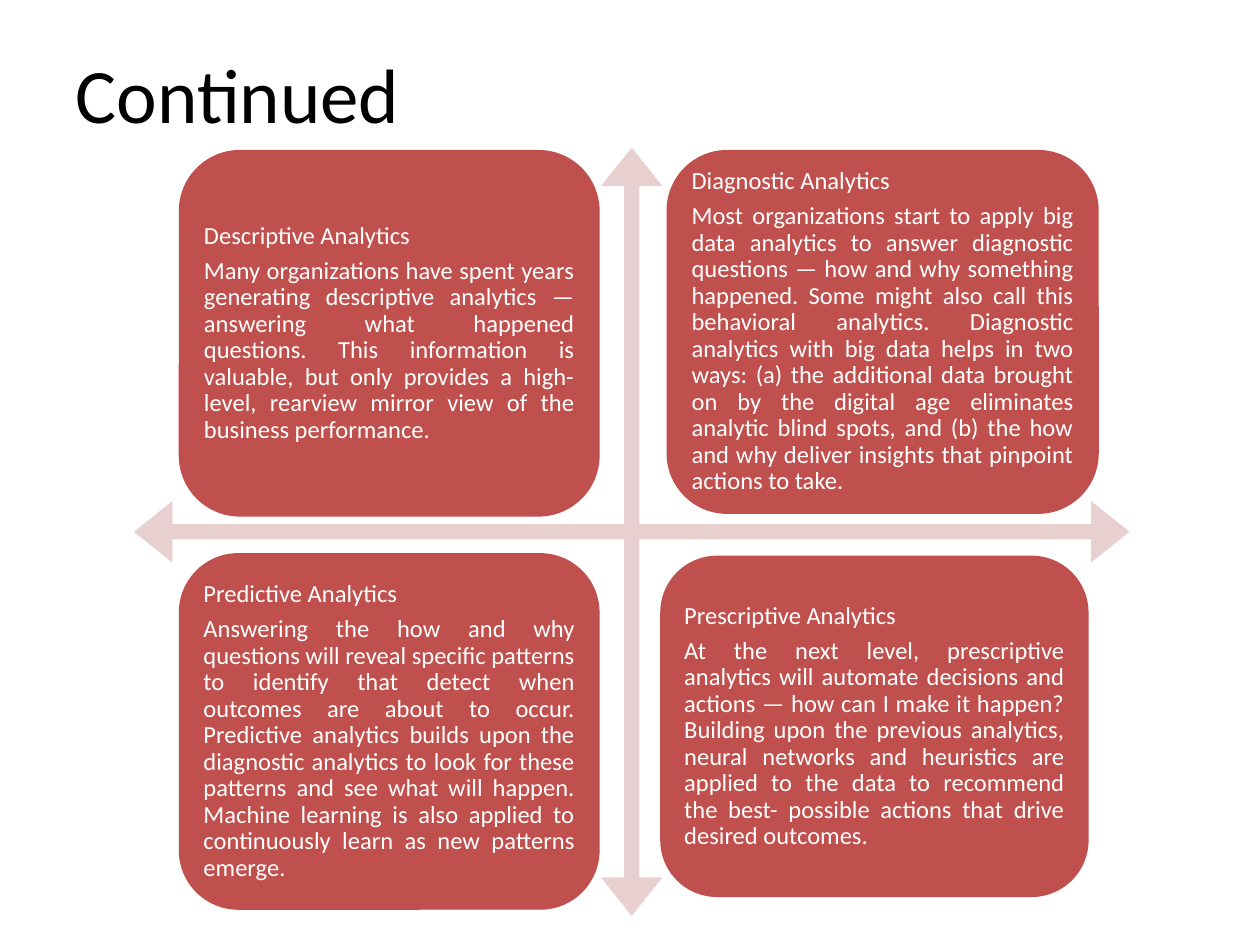
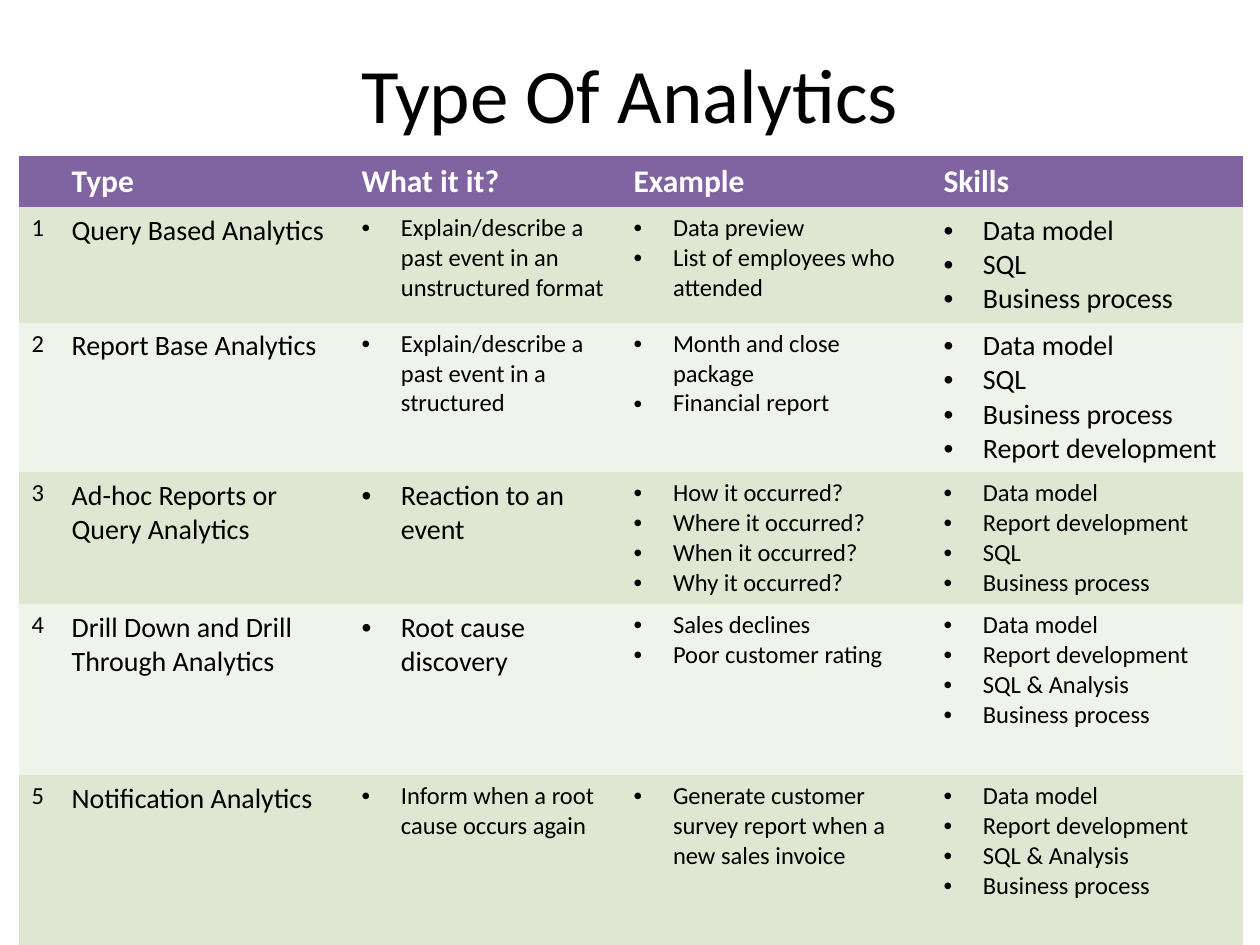
from dataclasses import dataclass

from lxml.etree import SubElement
from pptx import Presentation
from pptx.dml.color import RGBColor
from pptx.enum.shapes import MSO_SHAPE
from pptx.enum.text import MSO_ANCHOR, MSO_AUTO_SIZE, PP_ALIGN
from pptx.oxml.ns import qn
from pptx.util import Pt


@dataclass(frozen=True)
class Theme:
    font: str = "Calibri"
    black: str = "000000"
    white: str = "FFFFFF"
    panel: str = "C0504D"
    arrow: str = "E8D0D0"
    header: str = "8064A2"
    bands: tuple = ("DEE7D1", "EFF3EA")
    title_size: int = 44
    header_size: int = 18
    large_size: int = 16
    small_size: int = 14
    plain_table: str = "{2D5ABB26-0587-4C30-8999-92F81FD0307C}"


THEME = Theme()

PANELS = [
    ((102.2, 85.7, 240.5, 209.5), "Descriptive Analytics",
     "Many organizations have spent years generating descriptive analytics — answering what happened "
     "questions. This information is valuable, but only provides a high-level, rearview mirror view of "
     "the business performance."),
    ((380.9, 85.7, 247, 208), "Diagnostic Analytics",
     "Most organizations start to apply big data analytics to answer diagnostic questions — how and why "
     "something happened. Some might also call this behavioral analytics. Diagnostic analytics with big "
     "data helps in two ways: (a) the additional data brought on by the digital age eliminates analytic "
     "blind spots, and (b) the how and why deliver insights that pinpoint actions to take."),
    ((102.2, 316.1, 240.5, 203.8), "Predictive Analytics",
     "Answering the how and why questions will reveal specific patterns to identify that detect when "
     "outcomes are about to occur. Predictive analytics builds upon the diagnostic analytics to look for "
     "these patterns and see what will happen. Machine learning is also applied to continuously learn as "
     "new patterns emerge."),
    ((377.3, 317.5, 244.8, 195.1), "Prescriptive Analytics",
     "At the next level, prescriptive analytics will automate decisions and actions — how can I make it "
     "happen? Building upon the previous analytics, neural networks and heuristics are applied to the "
     "data to recommend the best- possible actions that drive desired outcomes."),
]

HEADINGS = ["", "Type", "What it it?", "Example", "Skills"]
COLUMN_WIDTHS = [23, 165.6, 155.5, 177.1, 178.6]
ROW_HEIGHTS = [29.2, 66, 85.4, 75.4, 97.7, 97.2]
SMALL, LARGE = THEME.small_size, THEME.large_size

ANALYTICS = [
    ("Query Based Analytics",
     (SMALL, ["Explain/describe a past event in an unstructured format"]),
     (SMALL, ["Data preview", "List of employees who attended"]),
     (LARGE, ["Data model", "SQL", "Business process"])),
    ("Report Base Analytics",
     (SMALL, ["Explain/describe a past event in a structured"]),
     (SMALL, ["Month and close package", "Financial report"]),
     (LARGE, ["Data model", "SQL", "Business process", "Report development"])),
    ("Ad-hoc Reports or Query Analytics",
     (LARGE, ["Reaction to an event"]),
     (SMALL, ["How it occurred?", "Where it occurred?", "When it occurred?", "Why it occurred?"]),
     (SMALL, ["Data model", "Report development", "SQL", "Business process"])),
    ("Drill Down and Drill Through Analytics",
     (LARGE, ["Root cause discovery"]),
     (SMALL, ["Sales declines", "Poor customer rating"]),
     (SMALL, ["Data model", "Report development", "SQL & Analysis", "Business process"])),
    ("Notification Analytics",
     (SMALL, ["Inform when a root cause occurs again"]),
     (SMALL, ["Generate customer survey report when a new sales invoice"]),
     (SMALL, ["Data model", "Report development", "SQL & Analysis", "Business process"])),
]


class SlideBuilder:
    def __init__(self, presentation, theme):
        self.presentation = presentation
        self.theme = theme
        self.slide = None

    def new_slide(self, title, alignment):
        self.slide = self.presentation.slides.add_slide(self.presentation.slide_layouts[5])
        shape = self.slide.shapes.title
        shape.left, shape.top, shape.width, shape.height = map(Pt, (36, 21.6, 648, 62.6))
        frame = shape.text_frame
        frame.auto_size = MSO_AUTO_SIZE.NONE
        frame.vertical_anchor = MSO_ANCHOR.MIDDLE
        paragraph = self.set_lines(frame, [title], self.theme.title_size, self.theme.black)[0]
        paragraph.alignment = alignment

    def set_lines(self, frame, lines, size, color, bold=False, bulleted=False):
        frame.text = "\n".join(lines)
        for paragraph in frame.paragraphs:
            if bulleted:
                self.add_bullet(paragraph)
            font = paragraph.font
            font.name = self.theme.font
            font.size = Pt(size)
            font.bold = bold
            font.color.rgb = RGBColor.from_string(color)
        return frame.paragraphs

    def add_bullet(self, paragraph):
        properties = paragraph._p.get_or_add_pPr()
        properties.set("marL", str(Pt(22.5)))
        properties.set("indent", str(Pt(-22.5)))
        SubElement(properties, qn("a:buFont")).set("typeface", "Arial")
        SubElement(properties, qn("a:buChar")).set("char", "•")

    def add_shape(self, kind, box, color):
        shape = self.slide.shapes.add_shape(kind, *map(Pt, box))
        shape.shadow.inherit = False
        shape.fill.solid()
        shape.fill.fore_color.rgb = RGBColor.from_string(color)
        shape.line.fill.background()
        return shape

    def add_cross_arrow(self, box):
        arrow = self.add_shape(MSO_SHAPE.QUAD_ARROW, box, self.theme.arrow)
        for index, ratio in enumerate((0.02, 0.04, 0.05)):
            arrow.adjustments[index] = ratio

    def add_panel(self, box, heading, body):
        frame = self.add_shape(MSO_SHAPE.ROUNDED_RECTANGLE, box, self.theme.panel).text_frame
        frame.word_wrap = True
        frame.vertical_anchor = MSO_ANCHOR.MIDDLE
        frame.margin_left = frame.margin_right = frame.margin_top = frame.margin_bottom = Pt(4.2)
        for paragraph in self.set_lines(frame, [heading, body], self.theme.small_size, self.theme.white):
            paragraph.alignment = PP_ALIGN.JUSTIFY
            paragraph.line_spacing = 0.9
            paragraph.space_after = Pt(4.9)

    def add_table(self, left, top, widths, heights):
        table = self.slide.shapes.add_table(
            len(heights), len(widths), Pt(left), Pt(top), Pt(sum(widths)), Pt(sum(heights))).table
        table._tbl.tblPr.find(qn("a:tableStyleId")).text = self.theme.plain_table
        for column, width in zip(table.columns, widths):
            column.width = Pt(width)
        for row, height in zip(table.rows, heights):
            row.height = Pt(height)
        return table

    def fill_cell(self, cell, fill, lines, size, color, **style):
        cell.fill.solid()
        cell.fill.fore_color.rgb = RGBColor.from_string(fill)
        self.set_lines(cell.text_frame, lines, size, color, **style)

    def add_analytics_table(self):
        theme = self.theme
        table = self.add_table(10.8, 89.2, COLUMN_WIDTHS, ROW_HEIGHTS)
        for column, heading in enumerate(HEADINGS):
            self.fill_cell(table.cell(0, column), theme.header, [heading],
                           theme.header_size, theme.white, bold=True)
        for row, (name, *lists) in enumerate(ANALYTICS, start=1):
            band = theme.bands[(row - 1) % 2]
            self.fill_cell(table.cell(row, 0), band, [str(row)], theme.small_size, theme.black)
            self.fill_cell(table.cell(row, 1), band, [name], theme.large_size, theme.black)
            for column, (size, items) in enumerate(lists, start=2):
                self.fill_cell(table.cell(row, column), band, items, size, theme.black, bulleted=True)


def main():
    presentation = Presentation()
    presentation.slide_width, presentation.slide_height = Pt(720), Pt(540)
    builder = SlideBuilder(presentation, THEME)

    builder.new_slide("Continued", PP_ALIGN.LEFT)
    builder.add_cross_arrow((76.5, 84.4, 569, 439))
    for panel in PANELS:
        builder.add_panel(*panel)

    builder.new_slide("Type Of Analytics", PP_ALIGN.CENTER)
    builder.add_analytics_table()

    presentation.save("out.pptx")


if __name__ == "__main__":
    main()
